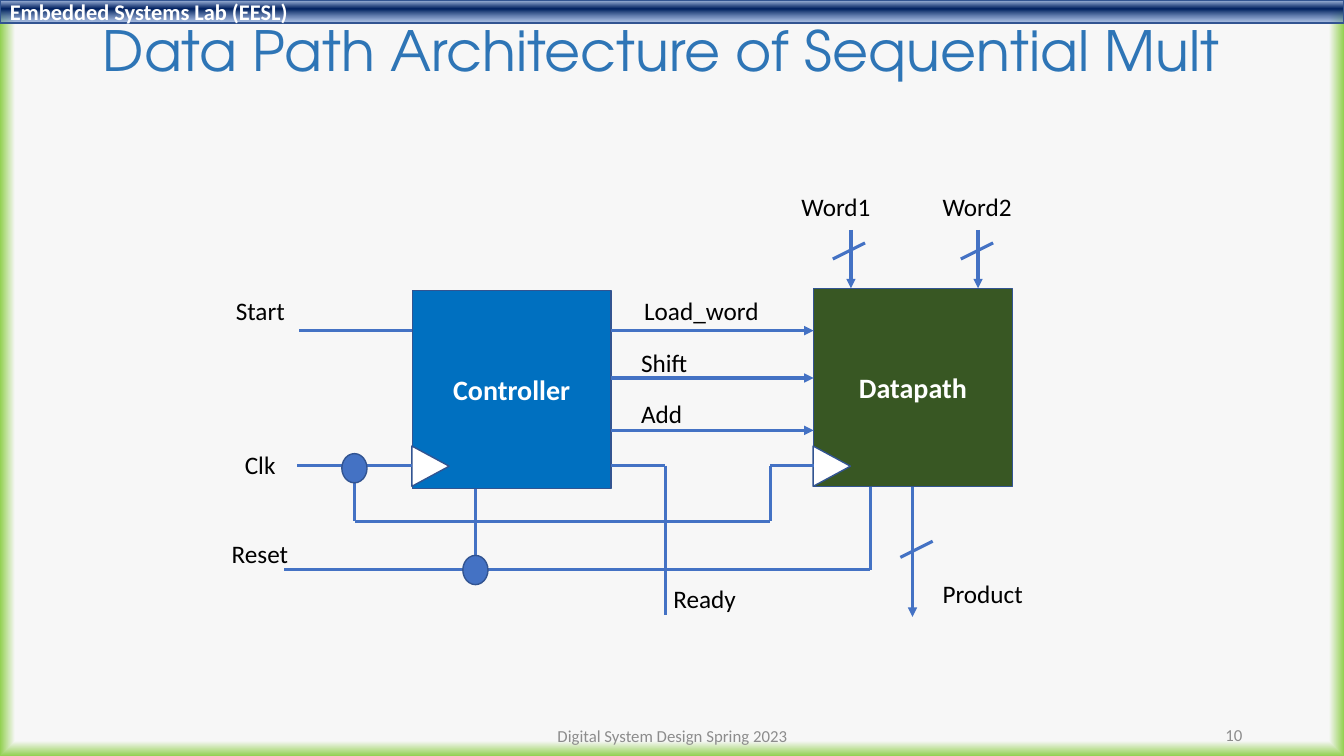
from itertools import pairwise
from pptx import Presentation
from pptx.dml.color import RGBColor
from pptx.enum.shapes import MSO_CONNECTOR, MSO_SHAPE
from pptx.enum.text import MSO_ANCHOR, MSO_AUTO_SIZE, PP_ALIGN
from pptx.oxml import parse_xml
from pptx.oxml.ns import nsdecls
from pptx.util import Inches, Pt

LEFT, CENTER, RIGHT = PP_ALIGN.LEFT, PP_ALIGN.CENTER, PP_ALIGN.RIGHT
TOP, MIDDLE = MSO_ANCHOR.TOP, MSO_ANCHOR.MIDDLE
RECT, OVAL, TRIANGLE = MSO_SHAPE.RECTANGLE, MSO_SHAPE.OVAL, MSO_SHAPE.ISOSCELES_TRIANGLE
STRAIGHT = MSO_CONNECTOR.STRAIGHT

W, H = 13.33, 7.5
COLORS = dict(title="2E75B6", controller="0070C0", datapath="385723", wire="4472C4",
              outline="325491", white="FFFFFF", black="000000", footer="8C8C8C")
PAGE_STOPS = [(96, "F7F7F7", 100), (100, "92D050", 100)]
HEADER_STOPS = [(2, "ABC0E4", 100), (38, "002060", 100), (93, "7E9ED6", 64)]

# Blocks: left and top; both have the same size
BLOCK = 1.97
CTRL_X, CTRL_Y = 4.09, 2.88
DATA_X, DATA_Y = 8.07, 2.86
CTRL_RIGHT, DATA_BOTTOM = CTRL_X + BLOCK, DATA_Y + BLOCK
BLOCKS = [("Controller", CTRL_X, CTRL_Y, "controller"),
          ("Datapath", DATA_X, DATA_Y, "datapath")]

# Signal levels (y) and branch positions (x)
LOAD_Y, SHIFT_Y, ADD_Y, CLK_Y, CLK_BUS_Y, RESET_Y = 3.28, 3.75, 4.27, 4.62, 5.17, 5.65
CLK_X, RESET_X, READY_X, PRODUCT_X = 3.52, 4.72, 6.6, 9.05
WORD_XS = (8.44, 9.7)

ARROWS = [[(CTRL_RIGHT, y), (DATA_X, y)] for y in (LOAD_Y, SHIFT_Y, ADD_Y)]
ARROWS += [[(x, 2.28), (x, DATA_Y)] for x in WORD_XS]
ARROWS += [[(PRODUCT_X, DATA_BOTTOM), (PRODUCT_X, 6.12)]]
WIRES = [
    [(2.97, LOAD_Y), (CTRL_X, LOAD_Y)],
    [(2.95, CLK_Y), (CTRL_X, CLK_Y)],
    [(CLK_X, CLK_Y), (CLK_X, CLK_BUS_Y), (7.64, CLK_BUS_Y), (7.64, CLK_Y), (DATA_X, CLK_Y)],
    [(2.82, RESET_Y), (8.63, RESET_Y), (8.63, DATA_BOTTOM)],
    [(RESET_X, CTRL_Y + BLOCK), (RESET_X, RESET_Y)],
    [(CTRL_RIGHT, CLK_Y), (READY_X, CLK_Y), (READY_X, 6.1)],
]
BUS_MARKS = [(8.42, 2.49), (9.69, 2.49), (9.09, 5.45)]
JUNCTIONS = [(CLK_X, 4.64), (RESET_X, RESET_Y)]

# Signal names: left, top, width
SIGNALS = [
    ("Start", 2.24, 2.88, 0.69), ("Clk", 2.33, 4.41, 0.51), ("Reset", 2.2, 5.29, 0.77),
    ("Load_word", 6.29, 2.88, 1.35), ("Shift", 6.26, 3.4, 0.67), ("Add", 6.26, 3.9, 0.61),
    ("Word1", 7.85, 1.85, 0.89), ("Word2", 9.25, 1.85, 0.89),
    ("Product", 9.25, 5.69, 1.01), ("Ready", 6.58, 5.74, 0.83),
]


def rgb(name):
    return RGBColor.from_string(COLORS[name])


def gradient(stops, direction):
    marks = "".join(
        f'<a:gs pos="{pos * 1000}"><a:srgbClr val="{color}">'
        f'<a:alpha val="{alpha * 1000}"/></a:srgbClr></a:gs>' for pos, color, alpha in stops)
    return parse_xml(f'<a:gradFill {nsdecls("a")} rotWithShape="1">'
                     f'<a:gsLst>{marks}</a:gsLst>{direction}</a:gradFill>')


def write(holder, text, size=18, color="black", bold=False, align=LEFT, anchor=MIDDLE,
          font="Calibri", wrap=True):
    frame = holder.text_frame
    frame.text = text
    frame.word_wrap = wrap
    frame.auto_size = MSO_AUTO_SIZE.NONE if wrap else MSO_AUTO_SIZE.SHAPE_TO_FIT_TEXT
    frame.vertical_anchor = anchor
    paragraph = frame.paragraphs[0]
    paragraph.alignment = align
    style = paragraph.runs[0].font
    style.name, style.size, style.bold = font, Pt(size), bold
    style.color.rgb = rgb(color)
    return paragraph


def add_label(text, x, y, w, h=0.4, **style):
    write(slide.shapes.add_textbox(Inches(x), Inches(y), Inches(w), Inches(h)), text, **style)


def add_part(kind, x, y, w, h, fill):
    part = slide.shapes.add_shape(kind, Inches(x), Inches(y), Inches(w), Inches(h))
    part.shadow.inherit = False
    part.fill.solid()
    part.fill.fore_color.rgb = rgb(fill)
    part.line.color.rgb = rgb("outline")
    part.line.width = Pt(1)
    return part


def add_wire(points, arrow=False):
    for start, end in pairwise(points):
        wire = slide.shapes.add_connector(STRAIGHT, *map(Inches, start + end))
        wire.line.color.rgb = rgb("wire")
        wire.line.width = Pt(2.25)
        properties = wire._element.spPr
        properties.append(parse_xml(f'<a:effectLst {nsdecls("a")}/>'))
        if arrow:
            properties.ln.append(parse_xml(f'<a:tailEnd {nsdecls("a")} type="triangle"/>'))


prs = Presentation()
prs.slide_width, prs.slide_height = Inches(W), Inches(H)
slide = prs.slides.add_slide(prs.slide_layouts[5])

# Page background and header band
slide.background.fill.solid()
page = slide._element.cSld.bg.bgPr
page.replace(page[0], gradient(
    PAGE_STOPS, '<a:path path="shape"><a:fillToRect l="50000" t="50000" r="50000" b="50000"/></a:path>'))
header = add_part(RECT, 0, 0, W, 0.23, "white")
band = header._element.spPr
band.replace(header.fill._xPr.find("{*}solidFill"),
             gradient(HEADER_STOPS, '<a:lin ang="5400000" scaled="0"/>'))
write(header, "Embedded Systems Lab (EESL)", size=16, color="white", bold=True)

# Title
title = slide.shapes.title
title.left, title.top, title.width, title.height = map(Inches, (0.92, 0.15, 11.5, 0.77))
write(title, "Data Path Architecture of Sequential Mult", size=39.6, color="title",
      font="TeX Gyre Adventor").line_spacing = 0.9

# Blocks with their clock inputs
for name, x, y, fill in BLOCKS:
    write(add_part(RECT, x, y, BLOCK, BLOCK, fill), name,
          size=20, color="white", bold=True, align=CENTER)
    add_part(TRIANGLE, x - 0.02, CLK_Y - 0.18, 0.4, 0.37, "white").rotation = 90

# Wires, bus marks and junctions
for points in ARROWS:
    add_wire(points, arrow=True)
for points in WIRES:
    add_wire(points)
for x, y in BUS_MARKS:
    add_wire([(x - 0.16, y + 0.08), (x + 0.16, y - 0.08)])
for x, y in JUNCTIONS:
    add_part(OVAL, x - 0.13, y - 0.14, 0.25, 0.29, "wire")

# Signal names and footer
for name, x, y, w in SIGNALS:
    add_label(name, x, y, w, anchor=TOP, wrap=False)
add_label("Digital System Design Spring 2023", 4.42, 7.1, 4.5, size=12, color="footer", align=CENTER)
add_label("10", 9.42, 7.09, 3, size=12, color="footer", align=RIGHT)

prs.save("out.pptx")
